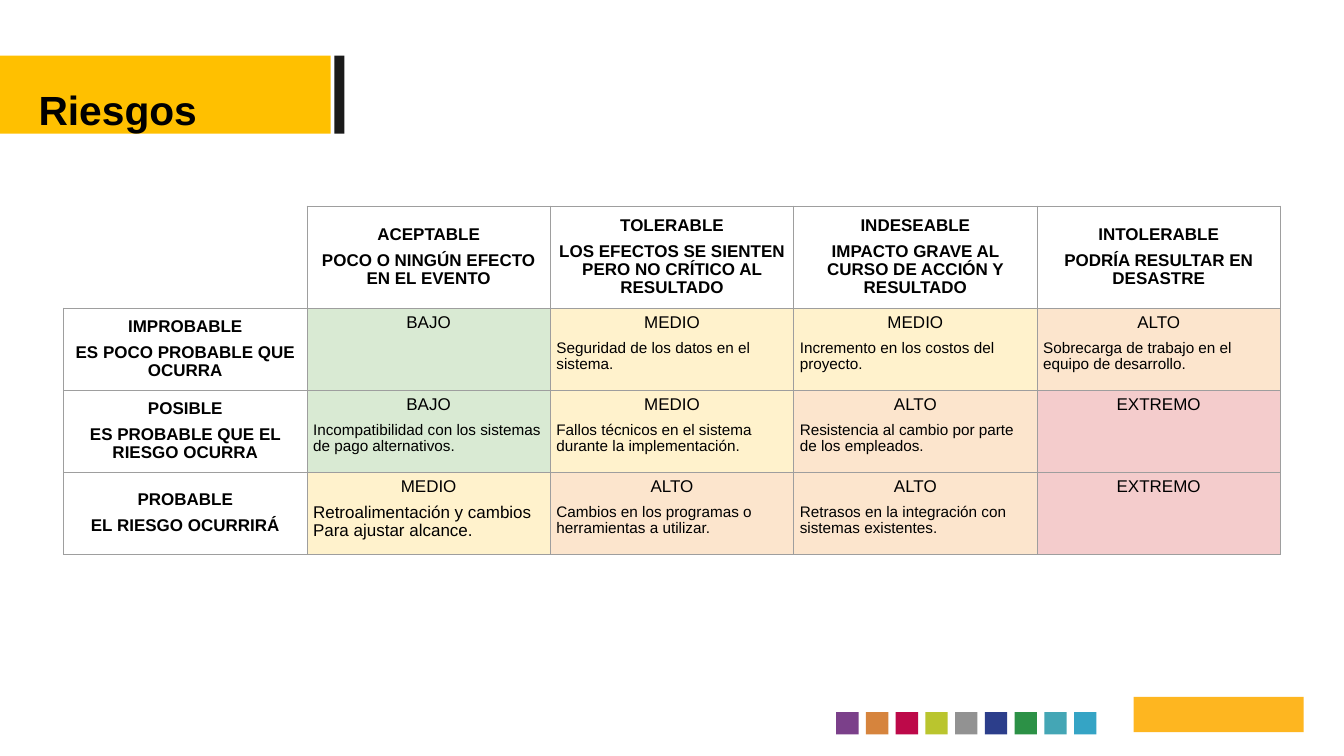
from dataclasses import dataclass

from lxml.etree import SubElement
from pptx import Presentation
from pptx.dml.color import RGBColor
from pptx.enum.shapes import MSO_SHAPE
from pptx.enum.text import MSO_ANCHOR, MSO_AUTO_SIZE, PP_ALIGN
from pptx.oxml.ns import qn
from pptx.shapes.autoshape import Shape
from pptx.slide import Slide
from pptx.table import _Cell
from pptx.util import Pt

FONT = "Arial"
BLACK = RGBColor(0x00, 0x00, 0x00)
WHITE = RGBColor(0xFF, 0xFF, 0xFF)
YELLOW = RGBColor(0xFF, 0xC0, 0x00)
AMBER = RGBColor(0xFE, 0xB6, 0x20)
CHARCOAL = RGBColor(0x1A, 0x1A, 0x1A)
GRID = RGBColor(0x9E, 0x9E, 0x9E)
GREEN = RGBColor(0xD9, 0xEA, 0xD3)
CREAM = RGBColor(0xFF, 0xF2, 0xCC)
PEACH = RGBColor(0xFC, 0xE5, 0xCD)
ROSE = RGBColor(0xF4, 0xCC, 0xCC)
SWATCHES = [
    RGBColor(0x7B, 0x40, 0x8A),
    RGBColor(0xD6, 0x84, 0x3D),
    RGBColor(0xBD, 0x09, 0x49),
    RGBColor(0xBA, 0xC5, 0x2E),
    RGBColor(0x92, 0x92, 0x92),
    RGBColor(0x2C, 0x3E, 0x8B),
    RGBColor(0x2C, 0x91, 0x46),
    RGBColor(0x44, 0xA6, 0xB5),
    RGBColor(0x35, 0xA4, 0xC5),
]
LEVEL_FILLS = {"BAJO": GREEN, "MEDIO": CREAM, "ALTO": PEACH, "EXTREMO": ROSE}
COLUMN_WIDTH = 286.7
ROW_HEIGHTS = [120.2, 96.6, 96.6, 96.6]


@dataclass
class Heading:
    name: str
    meaning: str


@dataclass
class Risk:
    level: str
    detail: str = ""
    size: float = 18


@dataclass
class Block:
    left: float
    top: float
    width: float
    height: float
    color: RGBColor


MATRIX: list[list[Heading | Risk | None]] = [
    [
        None,
        Heading("ACEPTABLE", "POCO O NINGÚN EFECTO EN EL EVENTO"),
        Heading("TOLERABLE", "LOS EFECTOS SE SIENTEN PERO NO CRÍTICO AL RESULTADO"),
        Heading("INDESEABLE", "IMPACTO GRAVE AL CURSO DE ACCIÓN Y RESULTADO"),
        Heading("INTOLERABLE", "PODRÍA RESULTAR EN DESASTRE"),
    ],
    [
        Heading("IMPROBABLE", "ES POCO PROBABLE QUE OCURRA"),
        Risk("BAJO"),
        Risk("MEDIO", "Seguridad de los datos en el sistema."),
        Risk("MEDIO", "Incremento en los costos del proyecto."),
        Risk("ALTO", "Sobrecarga de trabajo en el equipo de desarrollo."),
    ],
    [
        Heading("POSIBLE", "ES PROBABLE QUE EL RIESGO OCURRA"),
        Risk("BAJO", "Incompatibilidad con los sistemas de pago alternativos."),
        Risk("MEDIO", "Fallos técnicos en el sistema durante la implementación."),
        Risk("ALTO", "Resistencia al cambio por parte de los empleados."),
        Risk("EXTREMO"),
    ],
    [
        Heading("PROBABLE", "EL RIESGO OCURRIRÁ"),
        Risk("MEDIO", "Retroalimentación y cambios Para ajustar alcance.", 20),
        Risk("ALTO", "Cambios en los programas o herramientas a utilizar."),
        Risk("ALTO", "Retrasos en la integración con sistemas existentes."),
        Risk("EXTREMO"),
    ],
]

BANNER = [
    Block(0, 65.5, 389.5, 92, YELLOW),
    Block(393.8, 65.5, 12, 92, CHARCOAL),
]
FOOTER = [Block(985 + 35.04 * i, 838.8, 26.4, 26.4, c) for i, c in enumerate(SWATCHES)]
EMBLEM = Block(1335.6, 820.8, 200.2, 41.8, AMBER)


def add_block(s: Slide, block: Block) -> Shape:
    sp = s.shapes.add_shape(
        MSO_SHAPE.RECTANGLE,
        Pt(block.left), Pt(block.top), Pt(block.width), Pt(block.height),
    )
    sp.shadow.inherit = False
    sp.fill.solid()
    sp.fill.fore_color.rgb = block.color
    sp.line.fill.background()
    return sp


def add_title(s: Slide, text: str) -> None:
    sp = s.shapes.title
    sp.left, sp.top, sp.width, sp.height = Pt(45.4), Pt(99.4), Pt(342), Pt(58.3)
    tf = sp.text_frame
    tf.text = text
    tf.auto_size = MSO_AUTO_SIZE.NONE
    tf.vertical_anchor = MSO_ANCHOR.BOTTOM
    tf.margin_left = tf.margin_right = tf.margin_top = tf.margin_bottom = 0
    p = tf.paragraphs[0]
    p.alignment = PP_ALIGN.LEFT
    format_run(p.runs[0], 48, True)


def format_run(r, size: float, bold: bool) -> None:
    r.font.name = FONT
    r.font.size = Pt(size)
    r.font.bold = bold
    r.font.color.rgb = BLACK


def set_borders(cell: _Cell, colors: dict[str, RGBColor]) -> None:
    props = cell._tc.get_or_add_tcPr()
    for side, color in colors.items():
        line = SubElement(props, qn(f"a:ln{side}"), w=str(Pt(0.75)))
        fill = SubElement(line, qn("a:solidFill"))
        SubElement(fill, qn("a:srgbClr"), val=str(color))


def fill_cell(cell: _Cell, entry: Heading | Risk | None) -> None:
    edge = WHITE if entry is None else GRID
    set_borders(cell, {"L": edge, "R": GRID, "T": edge, "B": GRID})
    cell.fill.solid()
    cell.fill.fore_color.rgb = WHITE
    cell.margin_left = cell.margin_right = Pt(7.2)
    cell.margin_top = cell.margin_bottom = Pt(7.2)
    if entry is None:
        return
    if isinstance(entry, Heading):
        cell.vertical_anchor = MSO_ANCHOR.MIDDLE
        lines = [(entry.name, 20, PP_ALIGN.CENTER), (entry.meaning, 20, PP_ALIGN.CENTER)]
    else:
        cell.fill.fore_color.rgb = LEVEL_FILLS[entry.level]
        lines = [(entry.level, 20, PP_ALIGN.CENTER)]
        if entry.detail:
            lines.append((entry.detail, entry.size, PP_ALIGN.LEFT))
    tf = cell.text_frame
    tf.text = "\n".join(text for text, _, _ in lines)
    for i, (p, (_, size, alignment)) in enumerate(zip(tf.paragraphs, lines)):
        p.alignment = alignment
        p.line_spacing = 0.95
        p.space_before = Pt(10 if i else 0)
        format_run(p.runs[0], size, isinstance(entry, Heading))


def add_matrix(s: Slide) -> None:
    rows, cols = len(MATRIX), len(MATRIX[0])
    table = s.shapes.add_table(
        rows, cols, Pt(74.9), Pt(242.6), Pt(COLUMN_WIDTH * cols), Pt(sum(ROW_HEIGHTS))
    ).table
    table.first_row = table.horz_banding = False
    for column in table.columns:
        column.width = Pt(COLUMN_WIDTH)
    for i, (height, entries) in enumerate(zip(ROW_HEIGHTS, MATRIX)):
        table.rows[i].height = Pt(height)
        for j, entry in enumerate(entries):
            fill_cell(table.cell(i, j), entry)


def main() -> None:
    prs = Presentation()
    prs.slide_width, prs.slide_height = Pt(1583.3), Pt(890.6)
    s = prs.slides.add_slide(prs.slide_layouts.get_by_name("Title Only"))
    for block in BANNER:
        s.shapes.title.element.addprevious(add_block(s, block).element)
    for block in [*FOOTER, EMBLEM]:
        add_block(s, block)
    add_title(s, "Riesgos")
    add_matrix(s)
    prs.save("out.pptx")


if __name__ == "__main__":
    main()
